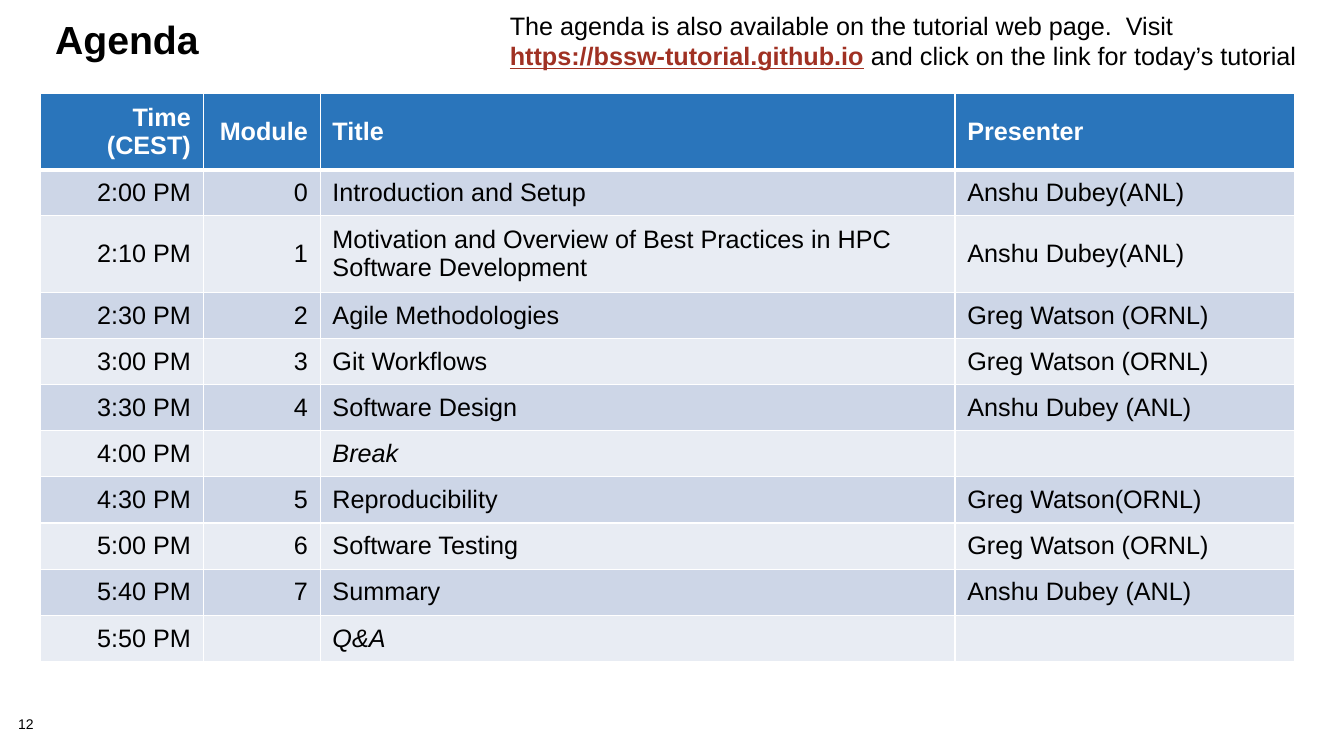
from dataclasses import dataclass

from lxml import etree
from pptx import Presentation
from pptx import util as u
from pptx.dml.color import RGBColor
from pptx.enum import text
from pptx.oxml import ns

FONT = "Arial"
BLACK, WHITE, LINK_RED = "000000", "FFFFFF", "A03123"
HEADER_BLUE, BAND_DARK, BAND_LIGHT = "2A75BB", "CDD6E7", "E8ECF3"


@dataclass
class Span:
    words: str
    size: float = 18
    color: str = BLACK
    bold: bool = False
    italic: bool = False
    underline: bool = False


@dataclass
class TextBox:
    left: float
    top: float
    width: float
    height: float
    spans: list[Span]
    line_spacing: float = 1.0
    inset_x: float = 0.25
    inset_y: float = 0.13


@dataclass
class Session:
    time: str
    module: str
    title: str
    presenter: str
    tall: bool = False


TEXT_BOXES = [
    TextBox(0.46, 18.08, 1.42, 0.41, [Span("12", size=10)], 0.9, 0, 0),
    TextBox(1.14, 0.43, 10, 2.54, [Span("Agenda", size=28, bold=True)], 0.85),
    TextBox(12.6, 0.13, 21.26, 1.8, [
        Span("The agenda is also available on the tutorial web page.  Visit "),
        Span("https://bssw-tutorial.github.io", color=LINK_RED, bold=True, underline=True),
        Span(" ", bold=True),
        Span("and click on the link for today’s tutorial"),
    ]),
]

HEADER = Session("Time (CEST)", "Module", "Title", "Presenter", tall=True)
SESSIONS = [
    Session("2:00 PM", "0", "Introduction and Setup", "Anshu Dubey(ANL)"),
    Session("2:10 PM", "1", "Motivation and Overview of Best Practices in HPC Software Development",
            "Anshu Dubey(ANL)", tall=True),
    Session("2:30 PM", "2", "Agile Methodologies", "Greg Watson (ORNL)"),
    Session("3:00 PM", "3", "Git Workflows", "Greg Watson (ORNL)"),
    Session("3:30 PM", "4", "Software Design", "Anshu Dubey (ANL)"),
    Session("4:00 PM", "", "Break", ""),
    Session("4:30 PM", "5", "Reproducibility", "Greg Watson(ORNL)"),
    Session("5:00 PM", "6", "Software Testing", "Greg Watson (ORNL)"),
    Session("5:40 PM", "7", "Summary", "Anshu Dubey (ANL)"),
    Session("5:50 PM", "", "Q&A", ""),
]
COLUMN_WIDTHS = [4.1, 2.95, 16, 8.56]
ROW_HEIGHT, TALL_ROW_HEIGHT = 1.15, 1.88


def rgb(color: str) -> RGBColor:
    return RGBColor.from_string(color)


def format_font(font, style: Span) -> None:
    font.name, font.size = FONT, u.Pt(style.size)
    font.bold, font.italic, font.underline = style.bold, style.italic, style.underline
    font.color.rgb = rgb(style.color)


def add_text_box(page, spec_box: TextBox) -> None:
    box = page.shapes.add_textbox(u.Cm(spec_box.left), u.Cm(spec_box.top),
                                  u.Cm(spec_box.width), u.Cm(spec_box.height))
    frame = box.text_frame
    frame.word_wrap = True
    frame.margin_left = frame.margin_right = u.Cm(spec_box.inset_x)
    frame.margin_top = frame.margin_bottom = u.Cm(spec_box.inset_y)
    para = frame.paragraphs[0]
    para.line_spacing = spec_box.line_spacing
    for style in spec_box.spans:
        span = para.add_run()
        span.text = style.words
        format_font(span.font, style)


def add_borders(cell, bottom_width: float) -> None:
    properties = cell._tc.get_or_add_tcPr()
    for side in ("L", "R", "T", "B"):
        width = bottom_width if side == "B" else 1
        line = etree.SubElement(properties, ns.qn(f"a:ln{side}"), w=str(u.Pt(width)))
        fill = etree.SubElement(line, ns.qn("a:solidFill"))
        etree.SubElement(fill, ns.qn("a:srgbClr"), val=WHITE)


def fill_cell(cell, style: Span, background: str, align_right: bool, bottom_width: float) -> None:
    add_borders(cell, bottom_width)
    cell.fill.solid()
    cell.fill.fore_color.rgb = rgb(background)
    cell.vertical_anchor = text.MSO_ANCHOR.MIDDLE
    cell.margin_left = cell.margin_right = u.Cm(0.31)
    cell.margin_top = cell.margin_bottom = u.Cm(0.2)
    para = cell.text_frame.paragraphs[0]
    para.text = style.words
    para.alignment = text.PP_ALIGN.RIGHT if align_right else text.PP_ALIGN.LEFT
    for span in para.runs:
        format_font(span.font, style)


def add_agenda(page) -> None:
    rows = [HEADER, *SESSIONS]
    heights = [TALL_ROW_HEIGHT if row.tall else ROW_HEIGHT for row in rows]
    table = page.shapes.add_table(len(rows), len(COLUMN_WIDTHS), u.Cm(1.02), u.Cm(2.35),
                                  u.Cm(sum(COLUMN_WIDTHS)), u.Cm(sum(heights))).table
    table.horz_banding = False
    for column, width in zip(table.columns, COLUMN_WIDTHS):
        column.width = u.Cm(width)
    for r, (row, height) in enumerate(zip(rows, heights)):
        table.rows[r].height = u.Cm(height)
        is_header = r == 0
        band = BAND_DARK if r % 2 else BAND_LIGHT
        for c, words in enumerate((row.time, row.module, row.title, row.presenter)):
            # Entries without a module number have an italic title
            style = Span(words, color=WHITE if is_header else BLACK, bold=is_header,
                         italic=c == 2 and not row.module)
            fill_cell(table.cell(r, c), style, HEADER_BLUE if is_header else band,
                      align_right=c < 2, bottom_width=3 if is_header else 1)


def main() -> None:
    deck = Presentation()
    deck.slide_width, deck.slide_height = u.Cm(33.87), u.Cm(19.05)
    page = deck.slides.add_slide(deck.slide_layouts[6])

    # Page number, heading and web page hint
    for text_box in TEXT_BOXES:
        add_text_box(page, text_box)

    # Schedule
    add_agenda(page)
    deck.save("out.pptx")


if __name__ == "__main__":
    main()
